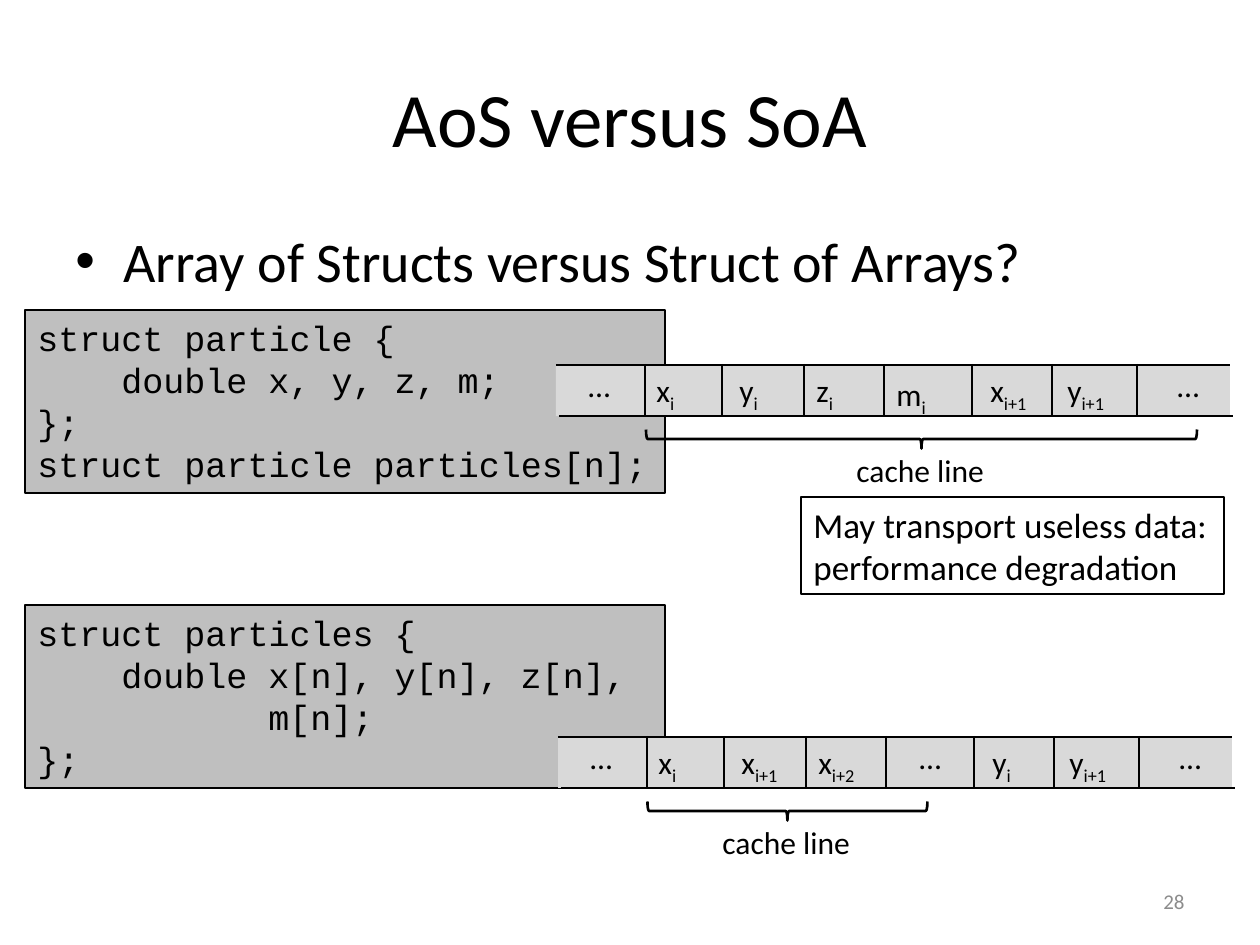
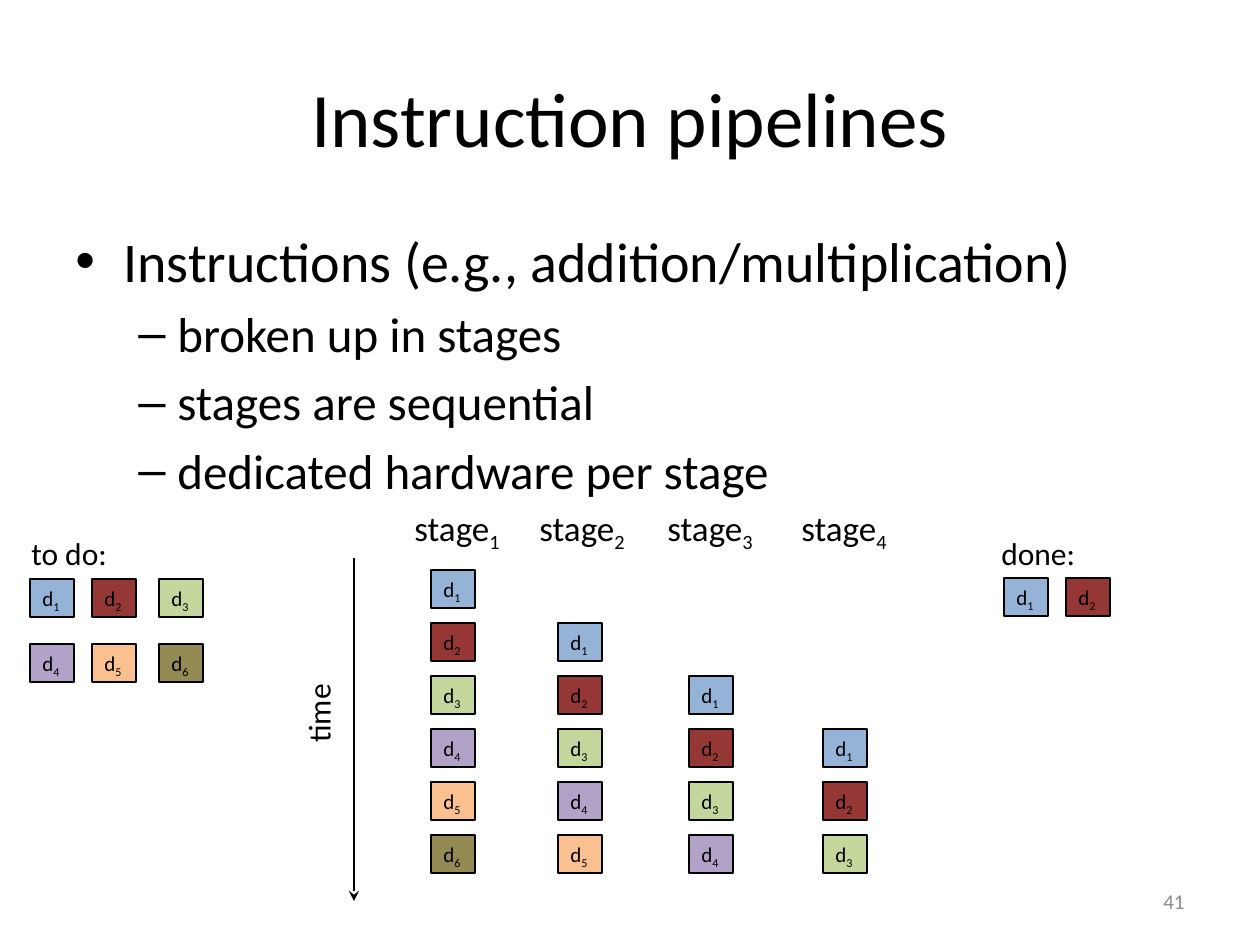
from lxml import etree
from pptx import Presentation
from pptx.dml.color import RGBColor
from pptx.enum.shapes import MSO_CONNECTOR, MSO_SHAPE
from pptx.enum.text import MSO_ANCHOR, MSO_AUTO_SIZE, PP_ALIGN
from pptx.oxml.ns import qn
from pptx.util import Emu, Pt

RECT, BRACE = MSO_SHAPE.RECTANGLE, MSO_SHAPE.LEFT_BRACE
STRAIGHT = MSO_CONNECTOR.STRAIGHT
TOP, MIDDLE = MSO_ANCHOR.TOP, MSO_ANCHOR.MIDDLE
LEFT, CENTER, RIGHT = PP_ALIGN.LEFT, PP_ALIGN.CENTER, PP_ALIGN.RIGHT
GROW, FIXED = MSO_AUTO_SIZE.SHAPE_TO_FIT_TEXT, MSO_AUTO_SIZE.NONE

PX = 914400 / 126
BLACK, NUMBER_GREY, CODE_GREY, CELL_GREY = "000000", "8C8C8C", "BFBFBF", "D9D9D9"
DATA_COLOURS = ["95B3D7", "953735", "C3D69B", "B3A2C7", "FAC090", "948A54"]
hex_colour = RGBColor.from_string


def add_box(slide, at, text="", size=18, kind=None, fill=None, outline=0, colour=BLACK,
            font="Calibri", align=LEFT, anchor=TOP, wrap=False, grow=True, turn=0):
    """Text box or preset shape; "_" puts the rest of a line in subscript."""
    place = [Emu(round(v * PX)) for v in at]
    if kind is None:
        box = slide.shapes.add_textbox(*place)
    else:
        box = slide.shapes.add_shape(kind, *place)
        box.shadow.inherit = False
        if fill:
            box.fill.solid()
            box.fill.fore_color.rgb = hex_colour(fill)
        else:
            box.fill.background()
        if outline:
            box.line.color.rgb = hex_colour(BLACK)
            box.line.width = Pt(outline)
        else:
            box.line.fill.background()
    box.rotation = turn
    if not text:
        return box
    frame = box.text_frame
    frame_format = {"word_wrap": wrap, "vertical_anchor": anchor,
                    "auto_size": GROW if grow else FIXED}
    for name, value in frame_format.items():
        setattr(frame, name, value)
    for i, line in enumerate(text.split("\n")):
        paragraph = frame.paragraphs[0] if i == 0 else frame.add_paragraph()
        paragraph.alignment = align
        for part, words in enumerate(line.split("_")):
            run = paragraph.add_run()
            run.text = words
            for name, value in {"name": font, "size": Pt(size)}.items():
                setattr(run.font, name, value)
            run.font.color.rgb = hex_colour(colour)
            if part:
                run.font._element.set("baseline", "-25000")
    return box


def add_line(slide, x1, y1, x2, y2, width, arrow=None):
    ends = [Emu(round(v * PX)) for v in (x1, y1, x2, y2)]
    line = slide.shapes.add_connector(STRAIGHT, *ends)
    line.line.color.rgb = hex_colour(BLACK)
    line.line.width = Pt(width)
    if arrow:
        etree.SubElement(line.line._get_or_add_ln(), qn("a:tailEnd"), type=arrow)
    etree.SubElement(line._element.spPr, qn("a:effectLst"))


deck = Presentation()
deck.slide_width, deck.slide_height = Emu(round(1260 * PX)), Emu(round(945 * PX))

# Shared frame: title, bullets and slide number
BULLET_LEVELS = [  # mark, size, left indent, hanging indent
    ("•", 32, 48, 48),
    ("–", 28, 102, 39),
]
pages = [
    ("AoS versus SoA", "28", [(0, "Array of Structs versus Struct of Arrays?")]),
    ("Instruction pipelines", "41", [
        (0, "Instructions (e.g., addition/multiplication)"),
        (1, "broken up in stages"),
        (1, "stages are sequential"),
        (1, "dedicated hardware per stage"),
    ]),
]
slides = []
for title, number, bullets in pages:
    slide = deck.slides.add_slide(deck.slide_layouts[6])
    slides.append(slide)
    add_box(slide, (63, 38, 1134, 158), title, 44, align=CENTER, anchor=MIDDLE,
            wrap=True, grow=False)
    body = add_box(slide, (63, 220, 1134, 624), "\n".join(words for _, words in bullets),
                   wrap=True, grow=False)
    for (level, _), paragraph in zip(bullets, body.text_frame.paragraphs):
        mark, size, left, hang = BULLET_LEVELS[level]
        paragraph.level = level
        paragraph.space_before = Pt(size * 0.2)
        paragraph.runs[0].font.size = Pt(size)
        props = paragraph._p.get_or_add_pPr()
        props.set("marL", str(round(left * PX)))
        props.set("indent", str(round(-hang * PX)))
        etree.SubElement(props, qn("a:buFont"), typeface="Arial")
        etree.SubElement(props, qn("a:buChar"), char=mark)
    add_box(slide, (903, 876, 294, 50), number, 12, colour=NUMBER_GREY, align=RIGHT,
            anchor=MIDDLE, wrap=True, grow=False)
layouts_slide, pipeline_slide = slides

# Code listings, indented by whole characters
CHAR = 21
listings = [
    (310, [(0, "struct particle {"), (4, "double x, y, z, m;"), (0, "};"),
           (0, "struct particle particles[n];")]),
    (605, [(0, "struct particles {"), (4, "double x[n], y[n], z[n],"), (11, "m[n];"),
           (0, "};")]),
]
for top, code in listings:
    listing = add_box(layouts_slide, (25, top, 640, 183), "\n".join(c for _, c in code), 20,
                      RECT, CODE_GREY, 0.75, font="Courier New")
    for (chars, _), paragraph in zip(code, listing.text_frame.paragraphs):
        paragraph._p.get_or_add_pPr().set("marL", str(round(chars * CHAR * PX)))

# Memory strips: cells are (offset, width, text), then the cache line brace
DIVIDERS = [89, 166, 248, 328, 416, 496, 581]
strips = [
    (556, 365, 366, 551, [
        (20, 48, "…"), (88, 44, "x_i"), (171, 44, "y_i"), (248, 44, "z_i"),
        (328, 55, "m_i"), (422, 65, "x_i+1"), (499, 65, "y_i+1"), (609, 48, "…")]),
    (558, 737, 230, 280, [
        (20, 48, "…"), (88, 44, "x_i"), (171, 65, "x_i+1"), (248, 65, "x_i+2"),
        (349, 48, "…"), (422, 44, "y_i"), (499, 65, "y_i+1"), (609, 48, "…")]),
]
TEXT_SHIFT = {"…": -5, "m_i": 4}
for left, top, brace_middle, brace_length, cells in strips:
    add_box(layouts_slide, (left, top, 674, 51), kind=RECT, fill=CELL_GREY)
    for offset, width, text in cells:
        add_box(layouts_slide, (left + offset, top + TEXT_SHIFT.get(text, 0), width, 50), text)
    for offset in DIVIDERS:
        add_line(layouts_slide, left + offset, top - 1, left + offset, top + 51, 1.5)
    for shift, edge in ((0, top), (3, top + 51)):
        add_line(layouts_slide, left + shift, edge, left + shift + 674, edge, 1.5)
    middle = left + brace_middle
    add_box(layouts_slide, (middle - 10, top + 74 - brace_length / 2, 19, brace_length),
            kind=BRACE, outline=1.5, turn=270)
    add_box(layouts_slide, (middle - 78, top + 80, 155, 50), "cache line")

add_box(layouts_slide, (801, 497, 423, 97),
        "May transport useless data:\nperformance degradation", 20, RECT, outline=0.75)

# Pipeline: stage headings, time arrow and captions
STAGE_LEFTS = [431, 558, 689, 823]
HEADING_LEFTS = [402, 527, 655, 789]
for stage, left in enumerate(HEADING_LEFTS, 1):
    add_box(pipeline_slide, (left, 500, 113, 55), f"stage_{stage}", 20)
add_line(pipeline_slide, 354, 558, 354, 901, 0.75, "stealth")
add_box(pipeline_slide, (276, 688, 84, 50), "time", turn=270)
add_box(pipeline_slide, (19, 528, 102, 50), "to do:")
add_box(pipeline_slide, (989, 528, 101, 50), "done:")

# Data items as (number, left, top): waiting, finished, and one stage further each step
STEPS, STEP_TOP, STEP_PITCH = 6, 570, 53
TODO_LEFTS = [30, 92, 159]
items = [(i + 1, TODO_LEFTS[i % 3], 579 + i // 3 * 65) for i in range(STEPS)]
items += [(1, 1004, 578), (2, 1066, 578)]
for step in range(STEPS):
    for stage, left in enumerate(STAGE_LEFTS[:step + 1]):
        items.append((step - stage + 1, left, STEP_TOP + step * STEP_PITCH))
for number, left, top in items:
    add_box(pipeline_slide, (left, top, 44, 38), f"d_{number}", 12, RECT,
            DATA_COLOURS[number - 1], 0.75)

deck.save("out.pptx")
